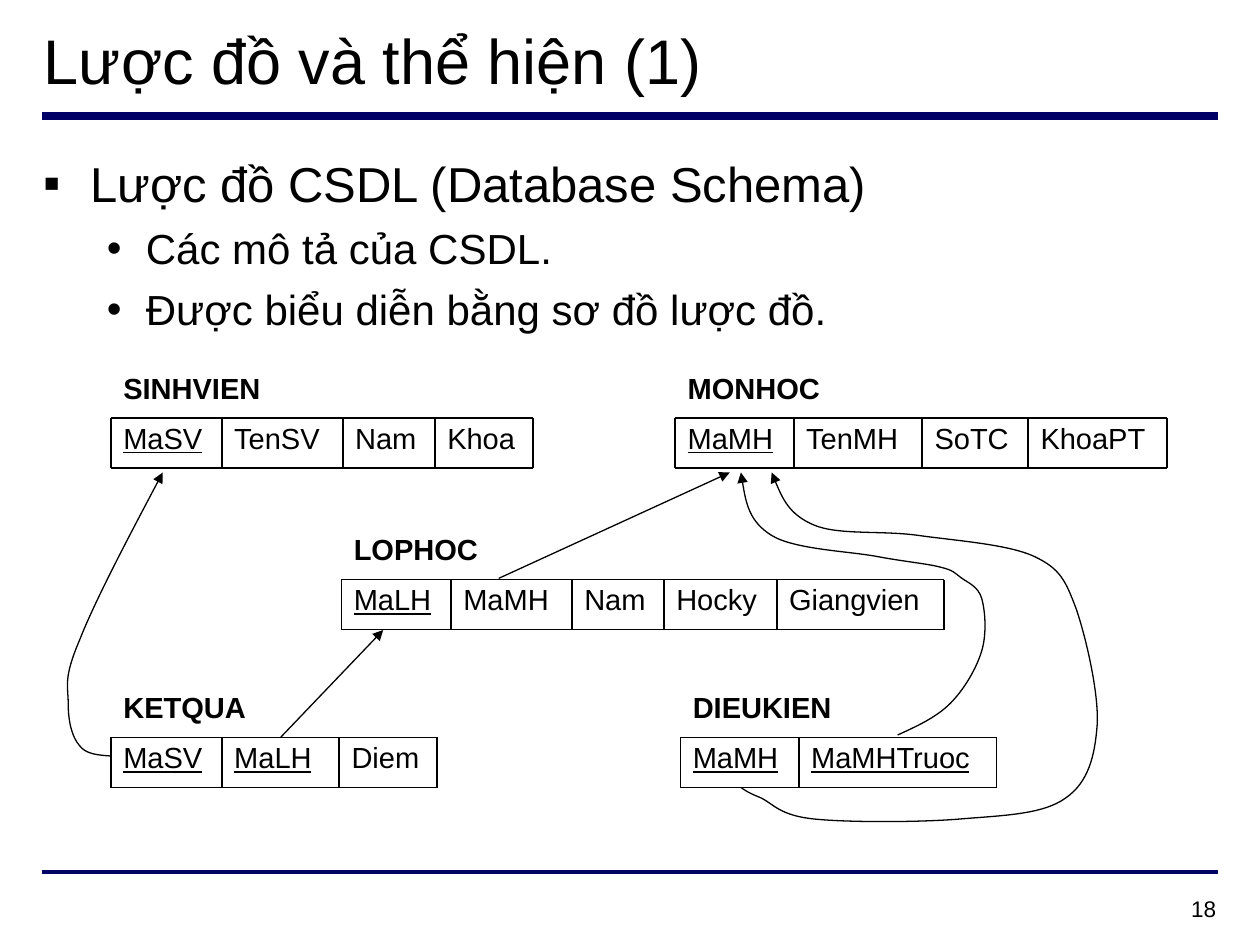
from dataclasses import dataclass
from itertools import accumulate

from lxml.etree import SubElement as Sub
from pptx import Presentation
from pptx.dml.color import RGBColor as Rgb
from pptx.enum.shapes import MSO_CONNECTOR as Link
from pptx.enum.text import MSO_ANCHOR as Anchor, PP_ALIGN as Align
from pptx.oxml.ns import qn
from pptx.util import Pt

HUES = {"ink": "000000", "rule": "000066"}
FONT = "Arial"
ROW = 28.6  # height of a row of cells, and of its heading


@dataclass
class Field:
    name: str
    width: float
    key: bool = False


@dataclass
class Table:
    name: str
    left: float
    top: float
    fields: list[Field]


@dataclass
class Item:
    text: str
    size: float
    mark: str
    left: float
    hang: float
    before: float


# Each curve: a start point, then rows of two handles and an end point
Point = tuple[float, float]
Curve = tuple[Point, list[tuple[Point, Point, Point]]]

TABLES = [
    Table("SINHVIEN", 63.4, 238.9, [
        Field("MaSV", 63.4, True), Field("TenSV", 69.1),
        Field("Nam", 52.6), Field("Khoa", 56.3)]),
    Table("MONHOC", 385.9, 238.9, [
        Field("MaMH", 67.7, True), Field("TenMH", 73.4),
        Field("SoTC", 60.5), Field("KhoaPT", 79.4)]),
    Table("LOPHOC", 195.1, 331.2, [
        Field("MaLH", 62.6, True), Field("MaMH", 69.1), Field("Nam", 52.6),
        Field("Hocky", 64.4), Field("Giangvien", 95.6)]),
    Table("KETQUA", 63.4, 421.4, [
        Field("MaSV", 63.4, True), Field("MaLH", 67, True),
        Field("Diem", 56.1)]),
    Table("DIEUKIEN", 388.8, 421.4, [
        Field("MaMH", 67.7, True), Field("MaMHTruoc", 113, True)]),
]

ITEMS = [
    Item("Lược đồ CSDL (Database Schema)", 28, "▪", 26.6, 26.6, 0),
    Item("Các mô tả của CSDL.", 24, "•", 58.3, 22.3, 6),
    Item("Được biểu diễn bằng sơ đồ lược đồ.", 24, "•", 58.3, 22.3, 6),
]

CURVES: list[Curve] = [
    ((63.4, 432), [
        ((56, 431.5), (49, 431), (45.4, 426)),
        ((41, 421), (39, 412), (39, 402)),
        ((39, 392), (36, 388), (45.4, 366)),
        ((54, 344), (73.4, 307), (93, 270))]),
    ((423.4, 450), [
        ((425.5, 451.5), (427.5, 453), (435, 456)),
        ((442, 459.5), (445.7, 466), (465, 468)),
        ((484, 470), (525, 470), (549, 468)),
        ((573, 466), (596, 465.5), (609, 456)),
        ((622, 447), (625.7, 432), (627, 414)),
        ((628, 396), (620.5, 364), (615, 348)),
        ((609, 332), (606, 325), (591, 318)),
        ((576, 311), (546, 309), (525, 306)),
        ((504, 303), (479, 306), (465, 300)),
        ((451, 294), (445.7, 282), (441, 270))]),
    ((513, 420), [
        ((524, 415), (535, 410), (543, 402)),
        ((551, 394), (558, 382), (561, 372)),
        ((564, 362), (563, 349), (561, 342)),
        ((559, 335), (553, 333), (549, 330)),
        ((545, 327), (545, 326), (537, 324)),
        ((529, 322), (517, 321), (501, 318)),
        ((485, 315), (454, 314), (441, 306)),
        ((428, 298), (425.5, 284), (423.4, 270))]),
]

deck = Presentation()
deck.slide_width, deck.slide_height = Pt(720), Pt(540)
slide = deck.slides.add_slide(deck.slide_layouts[6])
shapes = slide.shapes


def write(para, text: str, size: float = 16.6, bold: bool = False,
          under: bool = False, align=Align.LEFT, space: float = 1.0) -> None:
    para.alignment = align
    para.line_spacing = space
    run = para.add_run()
    run.text = text
    font = run.font
    font.name, font.size, font.bold = FONT, Pt(size), bold
    font.underline = under
    font.color.rgb = Rgb.from_string(HUES["ink"])


def add_box(left: float, top: float, width: float, height: float,
            anchor=Anchor.TOP):
    box = shapes.add_textbox(Pt(left), Pt(top), Pt(width), Pt(height))
    box.text_frame.word_wrap = True
    box.text_frame.vertical_anchor = anchor
    return box


def ink(shape, hue: str, weight: float, arrow: bool = False) -> None:
    shape.line.color.rgb = Rgb.from_string(HUES[hue])
    shape.line.width = Pt(weight)
    if arrow:
        Sub(shape.line._get_or_add_ln(), qn("a:tailEnd"), type="triangle")


def add_line(start: Point, end: Point, hue: str = "ink",
             weight: float = 1, arrow: bool = False):
    line = shapes.add_connector(Link.STRAIGHT, *map(Pt, start + end))
    ink(line, hue, weight, arrow)
    Sub(line._element.spPr, qn("a:effectLst"))
    return line


def add_table(table: Table) -> dict:
    """Draw a heading and its row of fields; return the cells by name."""
    left, top, low = table.left, table.top, table.top + ROW
    edges = list(accumulate((f.width for f in table.fields), initial=left))
    head = add_box(left, top - ROW, edges[-1] - left, ROW)
    write(head.text_frame.paragraphs[0], table.name, bold=True, space=0.9)
    cells = {}
    for field, edge in zip(table.fields, edges):
        cell = add_box(edge, top, field.width, ROW)
        write(cell.text_frame.paragraphs[0], field.name,
              under=field.key, space=0.9)
        cells[field.name] = cell
    for y in (top, low):
        add_line((left, y), (edges[-1], y))
    for x in edges:
        add_line((x, top), (x, low))
    return cells


def add_curve(curve: Curve) -> None:
    """Lay out the points as a freeform, then join each three as a Bézier."""
    start, parts = curve
    form = shapes.build_freeform(*map(Pt, start))
    form.add_line_segments(
        [(Pt(x), Pt(y)) for part in parts for x, y in part], close=False)
    shape = form.convert_to_shape()
    shape.shadow.inherit = False
    shape.fill.background()
    ink(shape, "ink", 0.75, arrow=True)
    trail = next(shape._element.iter(qn("a:path")))
    steps = trail.findall(qn("a:lnTo"))
    for i in range(0, len(steps), 3):
        bend = Sub(trail, qn("a:cubicBezTo"))
        for step in steps[i:i + 3]:
            bend.append(step[0])
            trail.remove(step)


# Title and rules
title = add_box(18, 8.6, 684, 50.4, Anchor.MIDDLE)
write(title.text_frame.paragraphs[0], "Lược đồ và thể hiện (1)", size=36)
for y, weight in ((66.2, 4.5), (498.2, 2.25)):
    add_line((23.8, y), (696.2, y), "rule", weight)

# Bulleted text
frame = add_box(18, 84.2, 684, 120).text_frame
for i, item in enumerate(ITEMS):
    para = frame.add_paragraph() if i else frame.paragraphs[0]
    props = para._p.get_or_add_pPr()
    props.set("marL", str(Pt(item.left)))
    props.set("indent", str(-Pt(item.hang)))
    Sub(props, qn("a:buFont"), typeface=FONT)
    Sub(props, qn("a:buChar"), char=item.mark)
    para.space_before = Pt(item.before)
    write(para, item.text, item.size)

# Schema tables
cells = {table.name: add_table(table) for table in TABLES}

# References between the tables
add_line((285, 330.5), (417, 270), weight=0.75, arrow=True)
ref = add_line((159, 420.5), (219, 360), weight=0.75, arrow=True)
ref.begin_connect(cells["KETQUA"]["MaLH"], 0)
for curve in CURVES:
    add_curve(curve)

# Page number
page = add_box(534.2, 509.8, 167.8, 24.5)
write(page.text_frame.paragraphs[0], "18", 12.9, align=Align.RIGHT, space=0.9)

deck.save("out.pptx")
